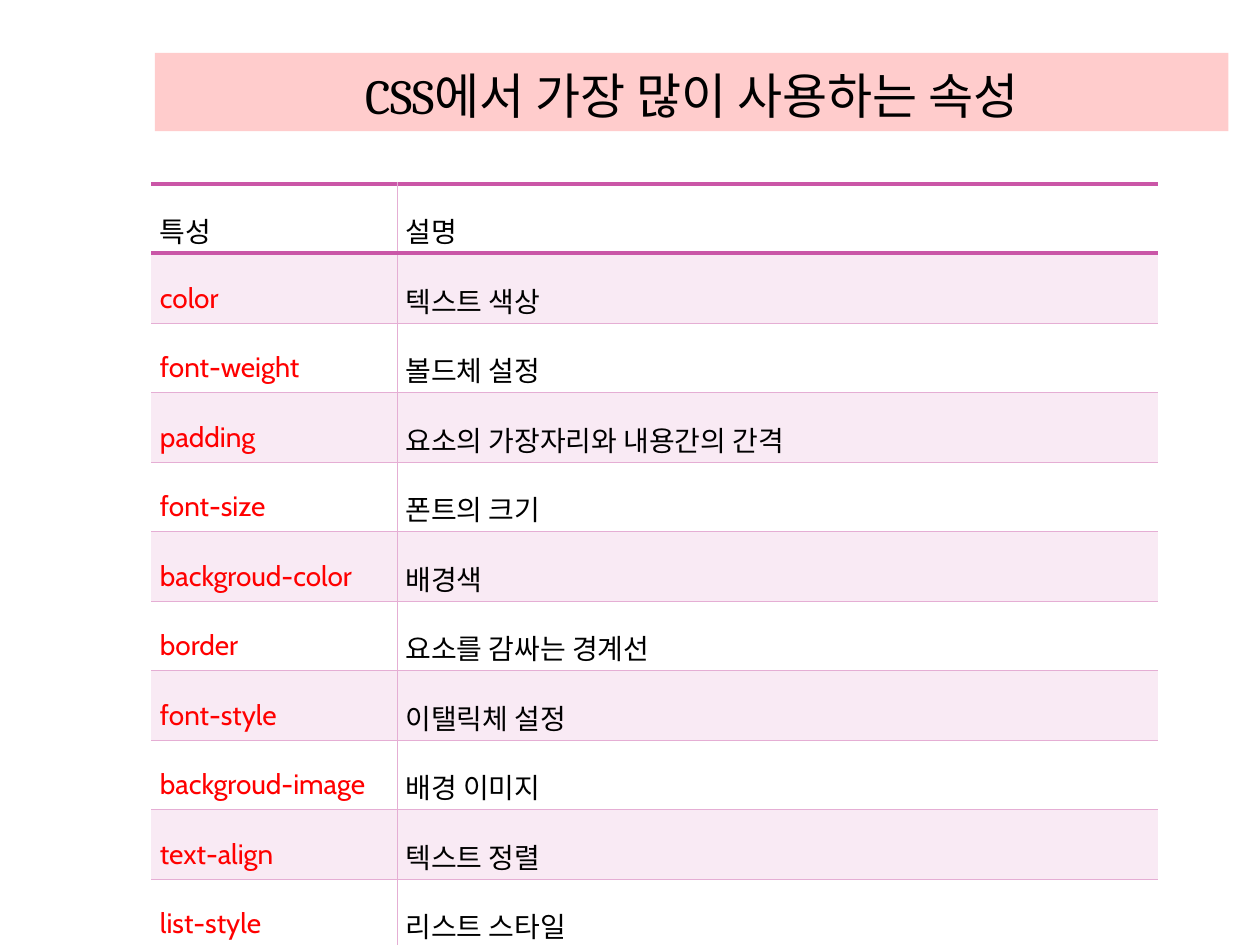
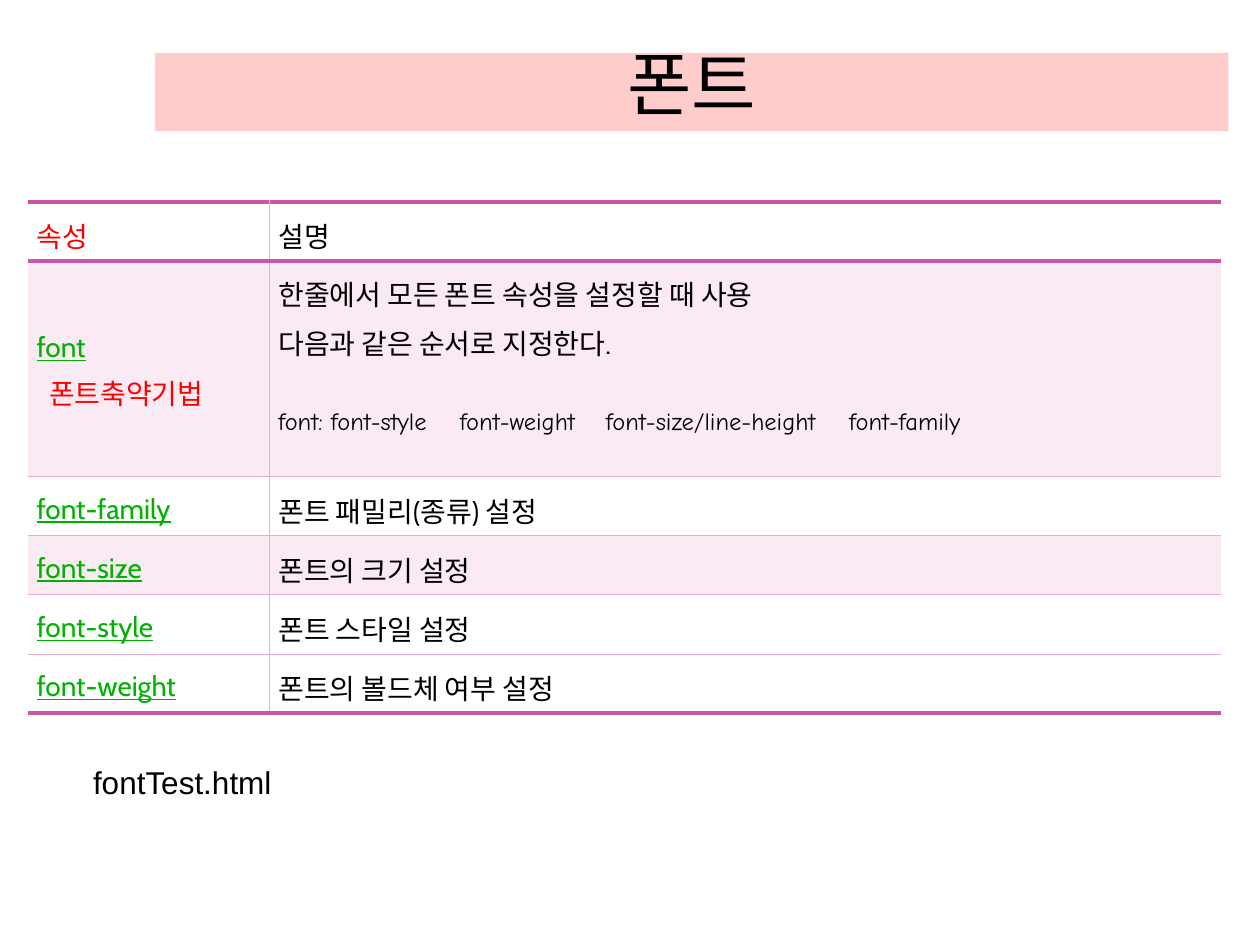
from dataclasses import dataclass

from lxml import etree
from pptx import Presentation
from pptx import util as u
from pptx.dml.color import RGBColor
from pptx.enum import text
from pptx.oxml import ns

COLORS = {
    "band": "FFCCCC", "ink": "000000", "property": "FF0000", "link": "00B200",
    "stripe": "F9EAF4", "plain": "FFFFFF", "rule": "CA56A7", "hairline": "E5AED4",
}
HEAVY, THIN = ("rule", 2.55), ("hairline", 0.28)


@dataclass
class Line:
    """One paragraph of a table cell; tabs and indent are in inches."""
    words: str
    color: str = "ink"
    size: float = 16
    font: str = "Cabin"
    underline: bool = False
    indent: float = 0
    before: float = 0
    tabs: tuple = ()


class Deck:
    def __init__(self):
        self.prs = Presentation()
        self.prs.slide_width, self.prs.slide_height = u.Inches(10), u.Inches(7.5)
        self.slide = None

    def add_run(self, paragraph, words, size, font, color="ink", underline=False):
        run = paragraph.add_run()
        run.text = words
        run.font.size, run.font.name = u.Pt(size), font
        run.font.underline = underline
        run.font.color.rgb = RGBColor.from_string(COLORS[color])

    def start_slide(self, heading, size):
        """Add a slide whose title sits in the pink band."""
        self.slide = self.prs.slides.add_slide(self.prs.slide_layouts[5])
        title = self.slide.shapes.title
        title.left, title.top = u.Inches(1.23), u.Inches(0.42)
        title.width, title.height = u.Inches(8.52), u.Inches(0.62)
        title.fill.solid()
        title.fill.fore_color.rgb = RGBColor.from_string(COLORS["band"])
        frame = title.text_frame
        frame.auto_size = text.MSO_AUTO_SIZE.NONE
        frame.vertical_anchor = text.MSO_ANCHOR.BOTTOM
        frame.paragraphs[0].alignment = text.PP_ALIGN.CENTER
        self.add_run(frame.paragraphs[0], heading, size, "Cambria")

    def set_borders(self, cell, **sides):
        """Draw each side (L, R, T, B) as (colour, points), or clear it with None."""
        props = cell._tc.get_or_add_tcPr()
        for place, (side, style) in enumerate(sides.items()):
            edge = etree.Element(ns.qn(f"a:ln{side}"))
            if style:
                edge.set("w", str(u.Pt(style[1])))
                fill = etree.SubElement(edge, ns.qn("a:solidFill"))
                etree.SubElement(fill, ns.qn("a:srgbClr"), val=COLORS[style[0]])
            else:
                etree.SubElement(edge, ns.qn("a:noFill"))
            props.insert(place, edge)

    def write_line(self, paragraph, line, spacing):
        paragraph.alignment = text.PP_ALIGN.LEFT if line.tabs else text.PP_ALIGN.JUSTIFY
        paragraph.line_spacing = spacing
        paragraph.space_before = u.Pt(line.before)
        props = paragraph._p.get_or_add_pPr()
        props.set("marL", str(u.Inches(line.indent)))
        if line.tabs:
            stops = etree.SubElement(props, ns.qn("a:tabLst"))
            for stop in line.tabs:
                etree.SubElement(stops, ns.qn("a:tab"), pos=str(u.Inches(stop)), algn="l")
        self.add_run(paragraph, line.words, line.size, line.font, line.color, line.underline)

    def add_property_table(self, left, top, widths, heights, rows, striped, spacing):
        """Rows hold two cells, each a list of Lines; striped gives the pink rows."""
        table = self.slide.shapes.add_table(
            len(rows), len(widths), u.Inches(left), u.Inches(top),
            u.Inches(sum(widths)), u.Inches(sum(heights))).table
        table.first_row = table.horz_banding = False
        for column, width in zip(table.columns, widths):
            column.width = u.Inches(width)
        last = len(rows) - 1
        for r, (row, height) in enumerate(zip(rows, heights)):
            table.rows[r].height = u.Inches(height)
            for c, lines in enumerate(row):
                cell = table.cell(r, c)
                cell.margin_left = cell.margin_right = u.Inches(0.07)
                cell.margin_top = cell.margin_bottom = u.Inches(0.02)
                cell.vertical_anchor = text.MSO_ANCHOR.MIDDLE
                cell.fill.solid()
                fill = "stripe" if r in striped else "plain"
                cell.fill.fore_color.rgb = RGBColor.from_string(COLORS[fill])
                self.set_borders(
                    cell, L=THIN if c else None, R=None if c else THIN,
                    T=HEAVY if r < 2 else THIN, B=HEAVY if r in (0, last) else THIN)
                frame = cell.text_frame
                for i, line in enumerate(lines):
                    paragraph = frame.add_paragraph() if i else frame.paragraphs[0]
                    self.write_line(paragraph, line, spacing)
        return table

    def add_note(self, words, left, top, width, height):
        frame = self.slide.shapes.add_textbox(
            *map(u.Inches, (left, top, width, height))).text_frame
        frame.word_wrap = False
        self.add_run(frame.paragraphs[0], words, 18, "Arial")


def build_common_properties(deck):
    deck.start_slide("CSS에서 가장 많이 사용하는 속성", 28)
    properties = [
        ("color", "텍스트 색상"),
        ("font-weight", "볼드체 설정"),
        ("padding", "요소의 가장자리와 내용간의 간격"),
        ("font-size", "폰트의 크기"),
        ("backgroud-color", "배경색"),
        ("border", "요소를 감싸는 경계선"),
        ("font-style", "이탤릭체 설정"),
        ("backgroud-image", "배경 이미지"),
        ("text-align", "텍스트 정렬"),
        ("list-style", "리스트 스타일"),
    ]
    rows = [([Line("특성")], [Line("설명")])]
    rows += [([Line(name, "property")], [Line(meaning)]) for name, meaning in properties]
    deck.add_property_table(1.2, 1.46, (1.95, 6.04), [0.43] * len(rows), rows,
                            range(1, len(rows), 2), 1.6)


def build_font_properties(deck):
    deck.start_slide("폰트", 40)
    shorthand = (
        [Line("font", "link", underline=True),
         Line("폰트축약기법", "property", indent=0.1)],
        [Line("한줄에서 모든 폰트 속성을 설정할 때 사용"),
         Line("다음과 같은 순서로 지정한다."),
         Line("font: font-style\tfont-weight\tfont-size/line-height\tfont-family",
              size=14, font="Comic Neue", before=23, tabs=(1.44, 2.6, 4.53))],
    )
    properties = [
        ("font-family", "폰트 패밀리(종류) 설정"),
        ("font-size", "폰트의 크기 설정"),
        ("font-style", "폰트 스타일 설정"),
        ("font-weight", "폰트의 볼드체 여부 설정"),
    ]
    rows = [([Line("속성", "property")], [Line("설명")]), shorthand]
    rows += [([Line(name, "link", underline=True)], [Line(meaning)])
             for name, meaning in properties]
    heights = [0.47, 1.71] + [0.47] * len(properties)
    table = deck.add_property_table(0.22, 1.6, (1.92, 7.55), heights, rows, (1, 3), 1.2)
    table.cell(1, 1).margin_bottom = u.Inches(0.3)
    deck.add_note("fontTest.html", 0.64, 6.01, 1.63, 0.4)


def main():
    deck = Deck()
    build_common_properties(deck)
    build_font_properties(deck)
    deck.prs.save("out.pptx")


if __name__ == "__main__":
    main()
